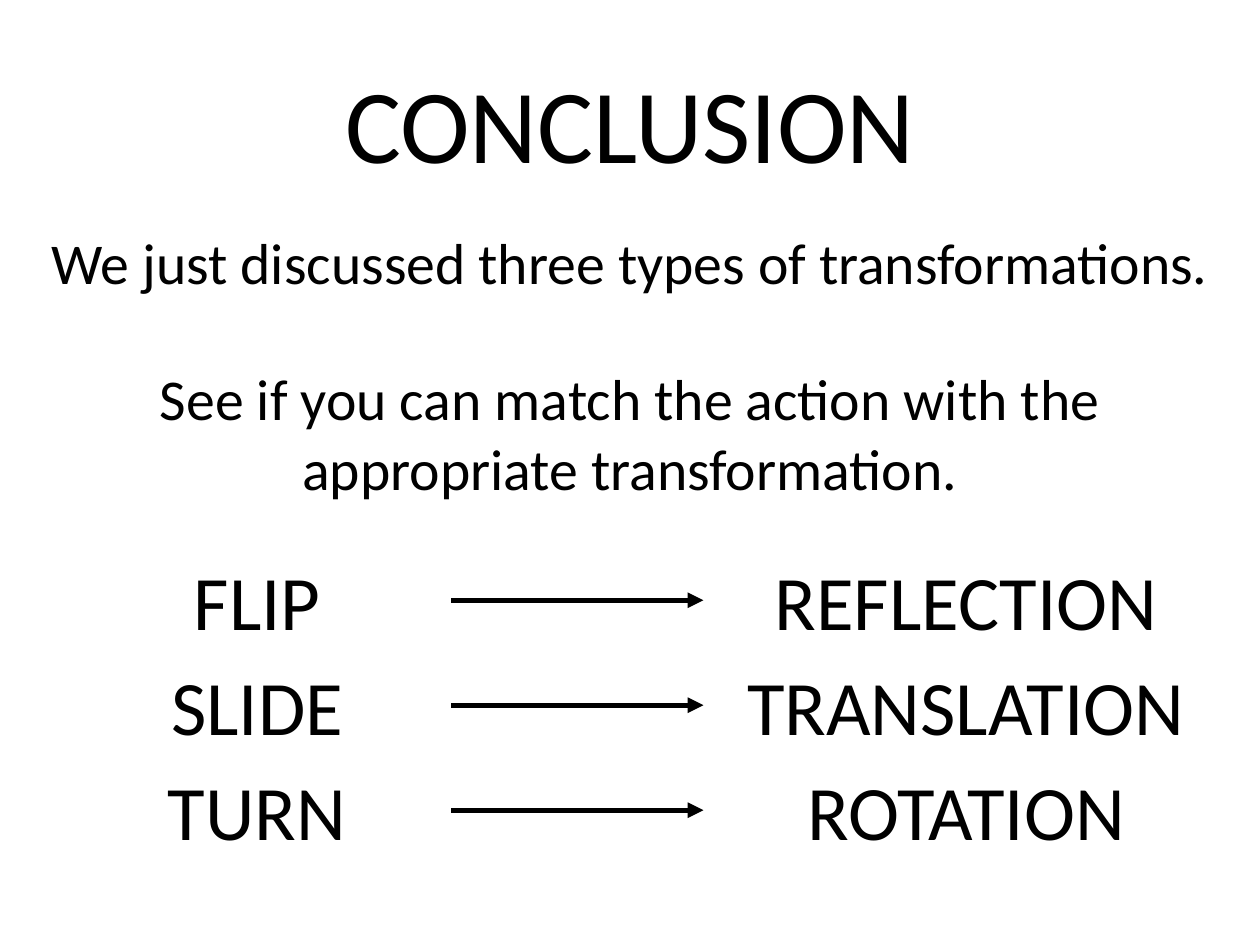
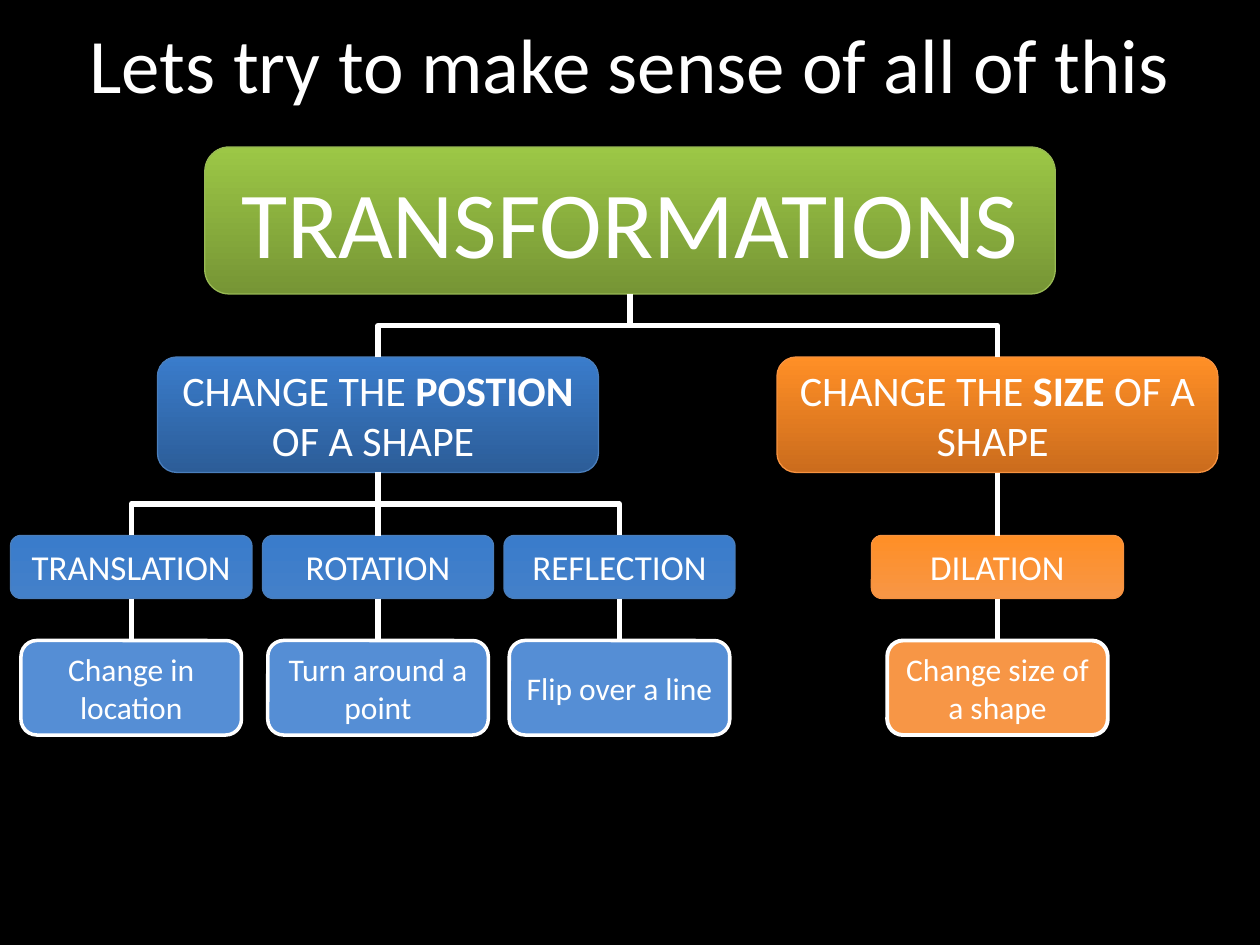
from lxml import etree
from pptx import Presentation
from pptx.dml.color import RGBColor
from pptx.enum.shapes import MSO_CONNECTOR, MSO_SHAPE
from pptx.enum.text import MSO_ANCHOR, MSO_AUTO_SIZE, PP_ALIGN
from pptx.oxml.ns import qn
from pptx.util import Pt

STRAIGHT, ELBOW = MSO_CONNECTOR.STRAIGHT, MSO_CONNECTOR.ELBOW
ROUNDED = MSO_SHAPE.ROUNDED_RECTANGLE
MIDDLE, CENTER = MSO_ANCHOR.MIDDLE, PP_ALIGN.CENTER
GROW = MSO_AUTO_SIZE.SHAPE_TO_FIT_TEXT
TOP, BOTTOM = 0, 2

# Content: conclusion slide, (text, size, left, top, width, height)
STATEMENTS = [
    ("CONCLUSION", 60, 0, 30, 720, 79),
    ("We just discussed three types of transformations.", 33, 0, 126, 720, 47),
    ("See if you can match the action with the appropriate transformation.",
     33, 78, 204, 564, 86),
]
MATCHES = [("FLIP", "REFLECTION"), ("SLIDE", "TRANSLATION"), ("TURN", "ROTATION")]

# Content: overview slide
QUESTION = "Lets try to make sense of all of this"
ROOT = "TRANSFORMATIONS"
BRANCHES = [
    {"lead": "CHANGE THE ", "stress": "POSTION", "rest": " OF A SHAPE ",
     "left": 90, "kinds_left": 6, "outline": 2,
     "kinds": [("TRANSLATION", "Change in location", 138),
               ("ROTATION", "Turn around a point", 132),
               ("REFLECTION", "Flip over a line", 132)],
     "branch_fill": ("2C5D98", "3A7CCB"), "kind_fill": ("4380C9", "3A7CCB"),
     "edge": "4A7EBB", "meaning_fill": "558ED5"},
    {"lead": "CHANGE THE ", "stress": "SIZE", "rest": " OF A SHAPE ",
     "left": 444, "kinds_left": 498, "outline": 2.25,
     "kinds": [("DILATION", "Change size of a shape", 144)],
     "branch_fill": ("CB6C1D", "FF8F26"), "kind_fill": ("F79646", "FF8F26"),
     "edge": "F69240", "meaning_fill": "F79646"},
]

# Shared style
FONT, BLACK, WHITE = "Calibri", "000000", "FFFFFF"
ROOT_FILL, ROOT_EDGE = ("769535", "9CC746"), "98B954"
EDGE_WIDTH, LINK_WIDTH = 0.75, 3

# Match rows and tree levels
ROW_TOP, ROW_STEP, ROW_HEIGHT = 312.75, 60, 60.5
ARROW_TOP, ARROW_LEFT, ARROW_RIGHT = 343, 258, 402
ROOT_BOX = (117, 84, 486, 84)
BRANCH_TOP, BRANCH_WIDTH, BRANCH_HEIGHT = 204, 252, 66
KIND_TOP, KIND_HEIGHT, KIND_GAP = 306, 36, 6
MEANING_TOP, MEANING_WIDTH, MEANING_HEIGHT = 366, 126, 54


def color(hex_string):
    return RGBColor.from_string(hex_string)


def add_slide(prs, background):
    slide = prs.slides.add_slide(prs.slide_layouts[6])
    slide.background.fill.solid()
    slide.background.fill.fore_color.rgb = color(background)
    return slide


def style_text(frame, size, ink):
    frame.word_wrap = True
    paragraph = frame.paragraphs[0]
    paragraph.alignment = CENTER
    for run in paragraph.runs:
        run.font.name = FONT
        run.font.size = Pt(size)
        run.font.color.rgb = color(ink)


def add_text(slide, text, size, left, top, width, height, ink=BLACK):
    frame = slide.shapes.add_textbox(Pt(left), Pt(top), Pt(width), Pt(height)).text_frame
    frame.text = text
    style_text(frame, size, ink)
    frame.auto_size = GROW


def add_box(slide, box, pieces, size, fill, edge, edge_width):
    """Rounded box; pieces after the first alternate between bold and plain."""
    shape = slide.shapes.add_shape(ROUNDED, *[Pt(length) for length in box])
    shape.shadow.inherit = False
    if isinstance(fill, tuple):
        shape.fill.gradient()
        shape.fill.gradient_angle = 90
        for stop, shade in zip(shape.fill.gradient_stops, fill):
            stop.color.rgb = color(shade)
    else:
        shape.fill.solid()
        shape.fill.fore_color.rgb = color(fill)
    shape.line.color.rgb = color(edge)
    shape.line.width = Pt(edge_width)

    frame = shape.text_frame
    frame.vertical_anchor = MIDDLE
    for index, piece in enumerate(pieces):
        run = frame.paragraphs[0].add_run()
        run.text = piece
        run.font.bold = index % 2 == 1
    style_text(frame, size, WHITE)
    return shape


def add_line(slide, kind, start, end, ink):
    line = slide.shapes.add_connector(kind, *start, *end)
    line.line.color.rgb = color(ink)
    line.line.width = Pt(LINK_WIDTH)
    etree.SubElement(line._element.spPr, qn("a:effectLst"))
    return line


def add_arrow(slide, y):
    arrow = add_line(slide, STRAIGHT, (Pt(ARROW_LEFT), Pt(y)), (Pt(ARROW_RIGHT), Pt(y)), BLACK)
    etree.SubElement(arrow.line._get_or_add_ln(), qn("a:tailEnd"), type="triangle")


def link(slide, parent, child):
    """Join the bottom of parent to the top of child, with an elbow if they are offset."""
    start = (parent.left + parent.width // 2, parent.top + parent.height)
    end = (child.left + child.width // 2, child.top)
    run, drop = end[0] - start[0], end[1] - start[1]
    line = add_line(slide, ELBOW if run else STRAIGHT, start, end, WHITE)
    line.begin_connect(parent, BOTTOM)
    line.end_connect(child, TOP)
    if run:
        # Turn the elbow so that it leaves and arrives vertically
        line.width, line.height = drop, abs(run)
        line.left = (start[0] + end[0] - drop) // 2
        line.top = (start[1] + end[1] - abs(run)) // 2
        frame = line._element.spPr.find(qn("a:xfrm"))
        frame.set("rot", "16200000" if run > 0 else "5400000")
        frame.set("flipH", "1" if run > 0 else "0")


def build_conclusion(prs):
    slide = add_slide(prs, WHITE)
    for statement in STATEMENTS:
        add_text(slide, *statement)
    for row, (action, transformation) in enumerate(MATCHES):
        top = ROW_TOP + row * ROW_STEP
        add_text(slide, action, 44, 60, top, 174, ROW_HEIGHT)
        add_arrow(slide, ARROW_TOP + row * ROW_STEP)
        add_text(slide, transformation, 44, 417, top, 270, ROW_HEIGHT)


def build_overview(prs):
    slide = add_slide(prs, BLACK)
    add_text(slide, QUESTION, 44, 12, 6, 696, 60.5, WHITE)
    root = add_box(slide, ROOT_BOX, [ROOT], 54, ROOT_FILL, ROOT_EDGE, EDGE_WIDTH)
    for branch in BRANCHES:
        change = add_box(slide, (branch["left"], BRANCH_TOP, BRANCH_WIDTH, BRANCH_HEIGHT),
                         [branch["lead"], branch["stress"], branch["rest"]], 24,
                         branch["branch_fill"], branch["edge"], EDGE_WIDTH)
        link(slide, root, change)
        left = branch["kinds_left"]
        for name, meaning, width in branch["kinds"]:
            kind = add_box(slide, (left, KIND_TOP, width, KIND_HEIGHT), [name], 20,
                           branch["kind_fill"], branch["edge"], EDGE_WIDTH)
            meaning_left = left + (width - MEANING_WIDTH) / 2
            detail = add_box(slide, (meaning_left, MEANING_TOP, MEANING_WIDTH, MEANING_HEIGHT),
                             [meaning], 18, branch["meaning_fill"], WHITE, branch["outline"])
            link(slide, change, kind)
            link(slide, kind, detail)
            left += width + KIND_GAP


def main():
    prs = Presentation()
    prs.slide_width, prs.slide_height = Pt(720), Pt(540)
    build_conclusion(prs)
    build_overview(prs)
    prs.save("out.pptx")


if __name__ == "__main__":
    main()
